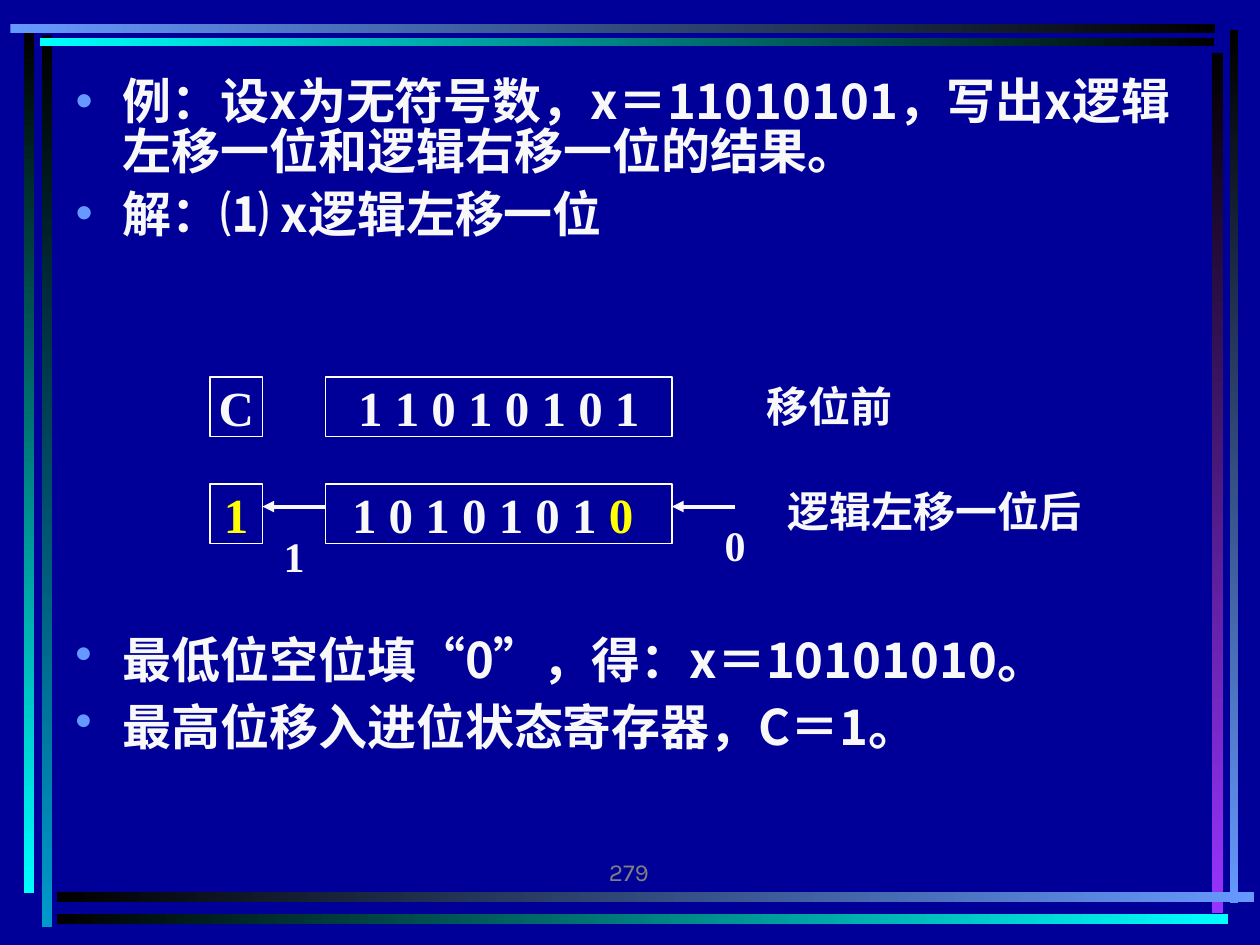
from dataclasses import dataclass

from lxml import etree
from pptx import Presentation
from pptx.dml.color import RGBColor
from pptx.enum import shapes, text
from pptx.oxml import ns
from pptx.util import Pt


@dataclass(frozen=True)
class Theme:
    background: str = "000099"
    ink: str = "F8F8F8"
    border: str = "FFFFFF"
    accent: str = "FFFF00"
    bullet: str = "6699FF"
    number: str = "808080"
    sans: str = "Noto Sans CJK SC"
    serif: str = "Times New Roman"
    footer: str = "Karla"
    body_size: int = 28
    label_size: int = 24
    number_size: int = 14


def rgb(value):
    return RGBColor.from_string(value)


def add_child(parent, tag, **attributes):
    return etree.SubElement(parent, ns.qn(tag), attributes)


class ShiftSlide:
    def __init__(self, prs, theme):
        self.theme = theme
        self.s = prs.slides.add_slide(prs.slide_layouts[1])
        self.s.background.fill.solid()
        self.s.background.fill.fore_color.rgb = rgb(theme.background)
        title = self.s.shapes.title
        title.element.getparent().remove(title.element)

    def style(self, font, size, name, color=None, bold=True):
        """Format a font, with one East Asian face for all Chinese text."""
        font.size, font.bold, font.name = Pt(size), bold, name
        font.color.rgb = rgb(color or self.theme.ink)
        add_child(font._rPr, "a:ea", typeface=self.theme.sans)

    def bar(self, x, y, w, h, start, end):
        """Draw a frame bar that fades along its longer side."""
        sp = self.s.shapes.add_shape(shapes.MSO_SHAPE.RECTANGLE,
                                     Pt(x), Pt(y), Pt(w), Pt(h))
        sp.shadow.inherit = False
        sp.line.fill.background()
        sp.fill.gradient()
        sp.fill.gradient_angle = 270 if h > w else 0
        for stop, color in zip(sp.fill.gradient_stops, (start, end)):
            stop.color.rgb = rgb(color)

    def set_text(self, sp, content, size, name, color=None, bold=True,
                 align=text.PP_ALIGN.CENTER, anchor=text.MSO_ANCHOR.MIDDLE):
        tf = sp.text_frame
        tf.word_wrap = True
        tf.margin_left = tf.margin_right = tf.margin_top = tf.margin_bottom = 0
        tf.vertical_anchor = anchor
        p = tf.paragraphs[0]
        p.alignment = align
        p.add_run().text = content
        self.style(p.font, size, name, color, bold)
        return p

    def register(self, x, y, w, bits, color=None):
        sp = self.s.shapes.add_shape(shapes.MSO_SHAPE.RECTANGLE,
                                     Pt(x), Pt(y), Pt(w), Pt(34))
        sp.shadow.inherit = False
        sp.fill.background()
        sp.line.color.rgb = rgb(self.theme.border)
        sp.line.width = Pt(0.75)
        return self.set_text(sp, bits, self.theme.body_size, self.theme.serif, color)

    def label(self, x, y, w, h, content, size, name, **options):
        sp = self.s.shapes.add_textbox(Pt(x), Pt(y), Pt(w), Pt(h))
        self.set_text(sp, content, size, name, **options)

    def arrow(self, x1, x2, y):
        line = self.s.shapes.add_connector(shapes.MSO_CONNECTOR.STRAIGHT,
                                           Pt(x1), Pt(y), Pt(x2), Pt(y))
        line.line.color.rgb = rgb(self.theme.ink)
        line.line.width = Pt(2.25)
        add_child(line.line._get_or_add_ln(), "a:tailEnd", type="triangle")
        add_child(line._element.spPr, "a:effectLst")

    def bullets(self, sp, x, y, w, h, items, gap, spacing):
        """Fill a shape with bulleted items, each a list of (text, font)."""
        sp.left, sp.top, sp.width, sp.height = Pt(x), Pt(y), Pt(w), Pt(h)
        tf = sp.text_frame
        tf.word_wrap = True
        tf.auto_size = text.MSO_AUTO_SIZE.NONE
        for i, runs in enumerate(items):
            p = tf.add_paragraph() if i else tf.paragraphs[0]
            pPr = p._p.get_or_add_pPr()
            pPr.set("marL", str(int(Pt(27))))
            pPr.set("indent", str(int(Pt(-27))))
            add_child(add_child(pPr, "a:buClr"), "a:srgbClr", val=self.theme.bullet)
            add_child(pPr, "a:buChar", char="•")
            p.space_before = Pt(gap if i else 0)
            p.line_spacing = spacing
            self.style(p.font, self.theme.body_size, self.theme.sans)
            for content, name in runs:
                r = p.add_run()
                r.text = content
                if name != self.theme.sans:
                    r.font.name = name


def main():
    prs = Presentation()
    prs.slide_width, prs.slide_height = Pt(720), Pt(540)
    t = Theme()
    slide = ShiftSlide(prs, t)

    for bar in (
        (23.8, 20.2, 5.8, 509.8, "000000", "0099CC"),
        (13.7, 18, 5.8, 492.5, "000000", "00FFFF"),
        (702.7, 17.3, 5, 499, "000000", "6699FF"),
        (692.6, 30.2, 6.5, 491.8, "000000", "9933FF"),
        (32.4, 509.8, 684, 5.8, "000000", "6699FF"),
        (32.4, 522, 669.6, 5.8, "000000", "00FFFF"),
        (23, 22, 671, 4.3, "00FFFF", "000000"),
        (6, 13.7, 688.3, 5, "6699FF", "000000"),
    ):
        slide.bar(*bar)

    slide.label(228, 474, 142.8, 32.4, "279", t.number_size, t.footer,
                color=t.number, bold=False, align=text.PP_ALIGN.RIGHT,
                anchor=text.MSO_ANCHOR.BOTTOM)

    slide.bullets(slide.s.placeholders[1], 36, 42, 654, 132, [
        [("例：设x为无符号数，x＝11010101，写出x逻辑左移一位和逻辑右移一位的结果。", t.sans)],
        [("解：⑴ x逻辑左移一位", t.sans)],
    ], gap=7, spacing=0.85)

    carry_x, carry_w, data_x, data_w = 120, 30, 186, 198
    before_y, after_y, arrow_y = 215.5, 276.5, 289.5
    slide.register(carry_x, before_y, carry_w, "C")
    slide.register(data_x, before_y, data_w, "1 1 0 1 0 1 0 1")
    slide.register(carry_x, after_y, carry_w, "1", t.accent)
    result = slide.register(data_x, after_y, data_w, "1 0 1 0 1 0 1 ")
    filled = result.add_run()
    filled.text = "0 "
    filled.font.color.rgb = rgb(t.accent)

    slide.arrow(data_x, carry_x + carry_w, arrow_y)
    slide.arrow(data_x + data_w + 36, data_x + data_w, arrow_y)

    for x, y, w, content, name in (
        (438, 217.5, 96, "移位前", t.serif),
        (450, 277.5, 174, "逻辑左移一位后", t.sans),
    ):
        slide.label(x, y, w, 29, content, t.label_size, name,
                    align=text.PP_ALIGN.LEFT)
    for x, y, bit in ((408, 297, "0"), (156, 303, "1")):
        slide.label(x, y, 24, 29, bit, t.label_size, t.serif,
                    anchor=text.MSO_ANCHOR.TOP)

    conclusion = slide.s.shapes.add_textbox(0, 0, 0, 0)
    slide.bullets(conclusion, 36, 360, 654, 114, [
        [("最低位空位填", t.sans), ("“", t.serif), ("0", t.sans),
         ("”", t.serif), ("，得：x＝10101010。", t.sans)],
        [("最高位移入进位状态寄存器，C＝1。", t.sans)],
    ], gap=8, spacing=0.9)

    prs.save("out.pptx")


if __name__ == "__main__":
    main()
